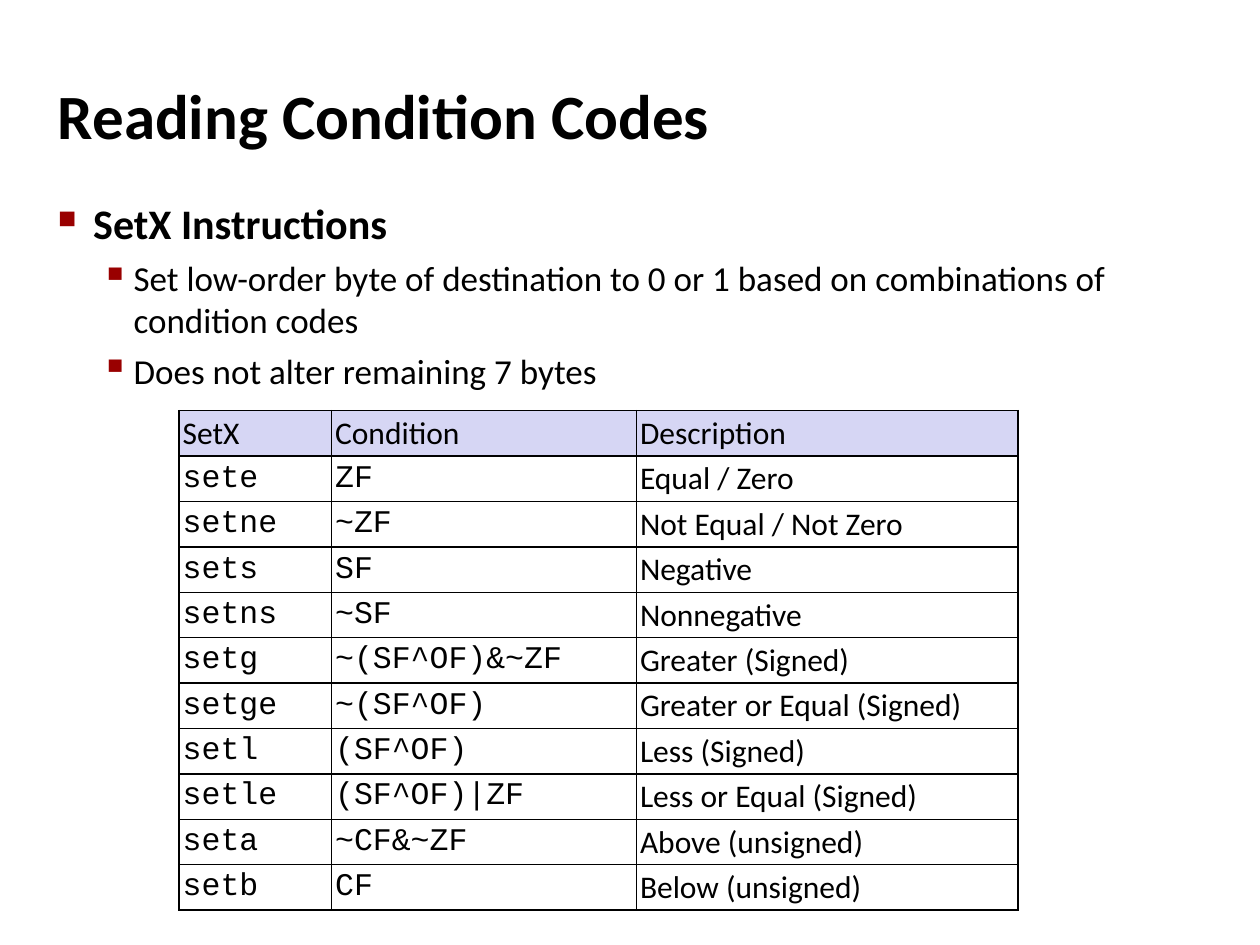
"""Build a slide on reading condition codes with the SetX instructions."""
from pptx import Presentation
from pptx.dml.color import RGBColor as Rgb
from pptx.enum.text import MSO_ANCHOR as Anchor
from pptx.oxml.ns import qn
from pptx.util import Inches, Pt
from lxml.etree import SubElement

COLORS = {"text": "000000", "bullet": "990000", "header": "D6D6F4", "border": "000000"}
SANS, MONO = "Calibri", "Courier New"

TITLE = "Reading Condition Codes"
LEVELS = [
    {"size": 24, "bold": True, "left": 0.28, "hang": 0.28, "before": 6, "mark": "■", "scale": 60},
    {"size": 20, "bold": False, "left": 0.6, "hang": 0.26, "before": 5, "mark": "▪", "scale": 110},
]
POINTS = [
    (0, "SetX Instructions"),
    (1, "Set low-order byte of destination to 0 or 1 based on combinations of condition codes"),
    (1, "Does not alter remaining 7 bytes"),
]
HEADER = ("SetX", "Condition", "Description")
INSTRUCTIONS = [
    ("sete", "ZF", "Equal / Zero"),
    ("setne", "~ZF", "Not Equal / Not Zero"),
    ("sets", "SF", "Negative"),
    ("setns", "~SF", "Nonnegative"),
    ("setg", "~(SF^OF)&~ZF", "Greater (Signed)"),
    ("setge", "~(SF^OF)", "Greater or Equal (Signed)"),
    ("setl", "(SF^OF)", "Less (Signed)"),
    ("setle", "(SF^OF)|ZF", "Less or Equal (Signed)"),
    ("seta", "~CF&~ZF", "Above (unsigned)"),
    ("setb", "CF", "Below (unsigned)"),
]
COLUMN_FONTS = (MONO, MONO, SANS)
COLUMN_WIDTHS = (1.21, 2.42, 3.03)
ROW_HEIGHT = 0.36
MARGIN, CONTENT_WIDTH = 0.42, 9.17
TITLE_TOP, BODY_TOP, BODY_HEIGHT = 0.28, 1.53, 5.94
TABLE_LEFT, TABLE_TOP = 1.42, 3.26


def set_insets(target, inset):
    for side in ("left", "top", "right", "bottom"):
        setattr(target, f"margin_{side}", Inches(inset))


def add_span(para, text, size, font=SANS, bold=False):
    span = para.add_run()
    span.text = text
    span.font.name, span.font.size, span.font.bold = font, Pt(size), bold
    span.font.color.rgb = Rgb.from_string(COLORS["text"])


def add_frame(page, top, height, anchor):
    box = page.shapes.add_textbox(Inches(MARGIN), Inches(top), Inches(CONTENT_WIDTH), Inches(height))
    frame = box.text_frame
    frame.word_wrap = True
    frame.vertical_anchor = anchor
    set_insets(frame, 0.04)
    return frame


def add_bullet(para, level):
    props = para._p.get_or_add_pPr()
    props.set("marL", str(Inches(level["left"])))
    props.set("indent", str(-Inches(level["hang"])))
    color = SubElement(props, qn("a:buClr"))
    SubElement(color, qn("a:srgbClr"), val=COLORS["bullet"])
    SubElement(props, qn("a:buSzPct"), val=str(level["scale"] * 1000))
    SubElement(props, qn("a:buChar"), char=level["mark"])


def add_points(page):
    frame = add_frame(page, BODY_TOP, BODY_HEIGHT, Anchor.TOP)
    for index, (depth, text) in enumerate(POINTS):
        para = frame.add_paragraph() if index else frame.paragraphs[0]
        level = LEVELS[depth]
        para.level = depth
        para.space_before = Pt(level["before"])
        add_bullet(para, level)
        add_span(para, text, level["size"], bold=level["bold"])


def add_borders(cell):
    props = cell._tc.get_or_add_tcPr()
    for side in ("lnL", "lnR", "lnT", "lnB"):
        line = SubElement(props, qn(f"a:{side}"), w=str(Pt(1)))
        fill = SubElement(line, qn("a:solidFill"))
        SubElement(fill, qn("a:srgbClr"), val=COLORS["border"])


def fill_cell(cell, text, font, is_header):
    set_insets(cell, 0.03)
    cell.vertical_anchor = Anchor.MIDDLE
    add_borders(cell)
    if is_header:
        cell.fill.solid()
        cell.fill.fore_color.rgb = Rgb.from_string(COLORS["header"])
    else:
        cell.fill.background()
    add_span(cell.text_frame.paragraphs[0], text, 18, font)


def add_instruction_table(page):
    rows = [HEADER] + INSTRUCTIONS
    table = page.shapes.add_table(
        len(rows), len(HEADER), Inches(TABLE_LEFT), Inches(TABLE_TOP),
        Inches(sum(COLUMN_WIDTHS)), Inches(ROW_HEIGHT * len(rows))).table
    table.first_row = table.horz_banding = False
    for column, width in zip(table.columns, COLUMN_WIDTHS):
        column.width = Inches(width)
    for r, values in enumerate(rows):
        table.rows[r].height = Inches(ROW_HEIGHT)
        for c, text in enumerate(values):
            font = COLUMN_FONTS[c] if r else SANS
            fill_cell(table.cell(r, c), text, font, r == 0)


def main():
    deck = Presentation()
    deck.slide_width, deck.slide_height = Inches(10), Inches(7.5)
    page = deck.slides.add_slide(deck.slide_layouts[6])
    title = add_frame(page, TITLE_TOP, BODY_TOP - TITLE_TOP, Anchor.MIDDLE)
    add_span(title.paragraphs[0], TITLE, 36, bold=True)
    add_points(page)
    add_instruction_table(page)
    deck.save("out.pptx")


if __name__ == "__main__":
    main()
